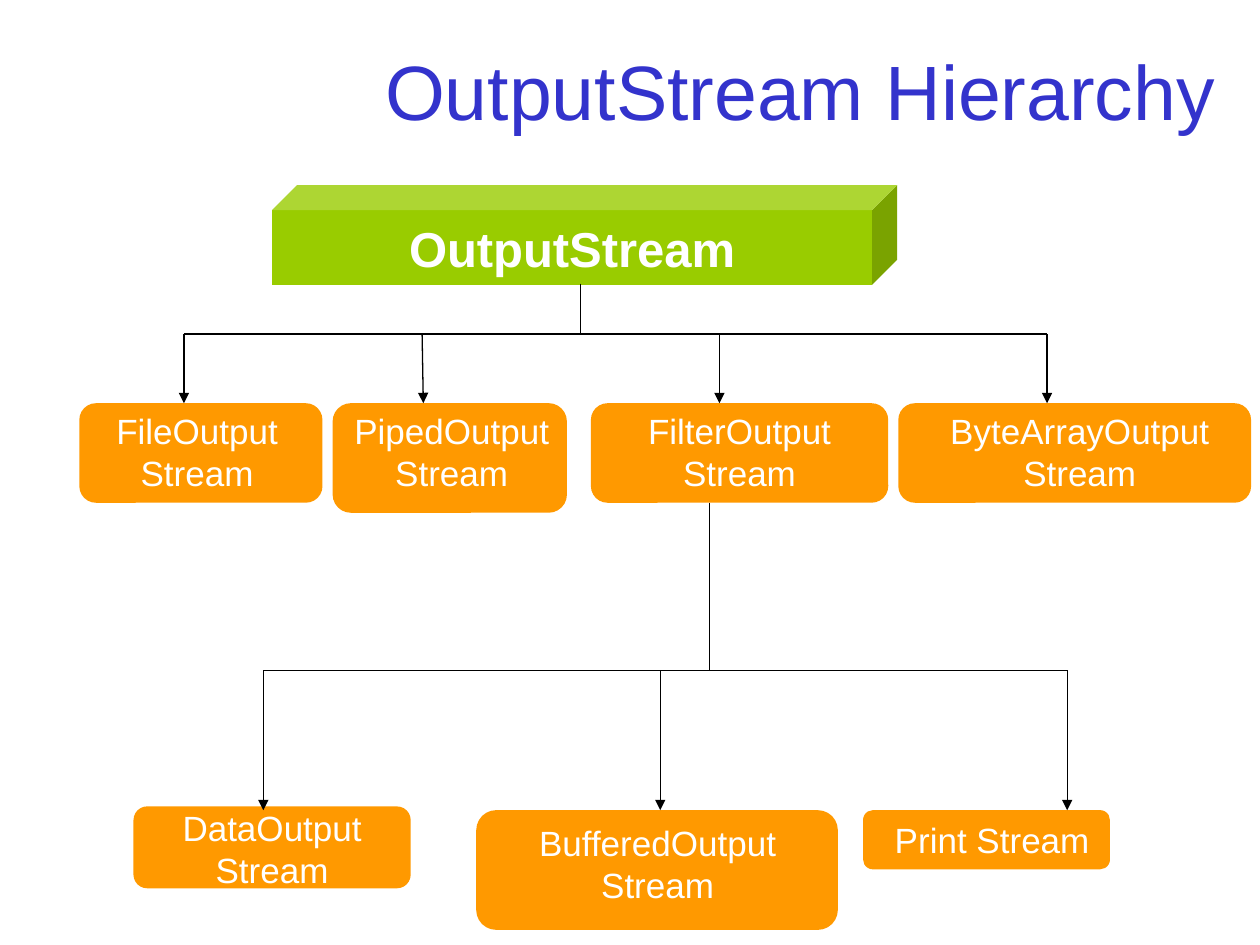
"""Build the OutputStream class hierarchy slide."""
from dataclasses import dataclass

import pptx
import pptx.dml.color
import pptx.enum.shapes
import pptx.enum.text
import pptx.oxml
import pptx.oxml.ns
import pptx.util

Inches = pptx.util.Inches
Kind = pptx.enum.shapes.MSO_SHAPE
Align = pptx.enum.text.PP_ALIGN
Anchor = pptx.enum.text.MSO_ANCHOR
Rect = tuple[float, float, float, float]
Point = tuple[float, float]

COLORS = {
    "title": "3333CC",
    "root": "99CC00",
    "node": "FF9900",
    "text": "FFFFFF",
    "line": "000000",
}


@dataclass
class Node:
    """A stream class: its box and its label."""

    name: str
    box: Rect
    label: Rect


@dataclass
class Branch:
    """A stem from a parent, a bar and arrows down to children."""

    stem: float
    top: float
    bar: float
    end: float
    drops: list[Point]


NODES = [
    Node("FileOutput Stream", (0.63, 3.2, 1.93, 0.79), (0.76, 3.2, 1.61, 0.77)),
    Node("FilterOutput Stream", (4.69, 3.2, 2.36, 0.79), (4.84, 3.2, 2.06, 0.77)),
    Node("PipedOutput Stream", (2.64, 3.2, 1.86, 0.87), (2.64, 3.2, 1.89, 0.77)),
    Node("ByteArrayOutput Stream", (7.13, 3.2, 2.8, 0.79), (7.21, 3.2, 2.72, 0.77)),
    Node("DataOutput Stream", (1.06, 6.4, 2.2, 0.65), (1.14, 6.35, 2.04, 0.77)),
    Node("BufferedOutput Stream", (3.78, 6.43, 2.87, 0.95), (3.94, 6.47, 2.56, 0.77)),
    Node("Print Stream", (6.85, 6.43, 1.96, 0.47), (6.81, 6.45, 2.13, 0.44)),
]

BRANCHES = [
    Branch(4.61, 2.25, 2.65, 3.2,
           [(1.46, 1.46), (3.35, 3.36), (5.71, 5.71), (8.31, 8.31)]),
    Branch(5.63, 3.99, 5.32, 6.43,
           [(2.09, 2.09), (5.24, 5.24), (8.47, 8.47)]),
]


def color(key: str) -> pptx.dml.color.RGBColor:
    """Look up a named colour."""
    return pptx.dml.color.RGBColor.from_string(COLORS[key])


def write(shape, text: str, size: int, key: str = "text",
          align=Align.CENTER, anchor=Anchor.TOP,
          bold: bool = False, wrap: bool = True) -> None:
    """Put one styled run in a shape."""
    frame = shape.text_frame
    frame.word_wrap = wrap
    frame.vertical_anchor = anchor
    para = frame.paragraphs[0]
    para.alignment = align
    run = para.add_run()
    run.text = text
    run.font.name = "Arial"
    run.font.size = pptx.util.Pt(size)
    run.font.bold = bold
    run.font.color.rgb = color(key)


def block(shapes, kind, rect: Rect, key: str, adjust: float):
    """Add a flat filled shape."""
    shape = shapes.add_shape(kind, *map(Inches, rect))
    shape.adjustments[0] = adjust
    shape.shadow.inherit = False
    shape.fill.solid()
    shape.fill.fore_color.rgb = color(key)
    shape.line.fill.background()
    return shape


def draw_node(slide, node: Node) -> None:
    """Group a rounded box with its label."""
    shapes = slide.shapes.add_group_shape().shapes
    block(shapes, Kind.ROUNDED_RECTANGLE, node.box, "node", 0.167)
    label = shapes.add_textbox(*map(Inches, node.label))
    write(label, node.name, 20)
    label.text_frame.auto_size = pptx.enum.text.MSO_AUTO_SIZE.SHAPE_TO_FIT_TEXT


def draw_line(slide, start: Point, end: Point, arrow: bool = False) -> None:
    """Add a thin line, with an arrowhead at its end if asked."""
    line = slide.shapes.add_connector(
        pptx.enum.shapes.MSO_CONNECTOR.STRAIGHT, *map(Inches, start + end))
    line.line.color.rgb = color("line")
    line.line.width = pptx.util.Pt(0.75)
    props = line._element.spPr
    if arrow:
        head = pptx.oxml.parse_xml(
            f'<a:tailEnd {pptx.oxml.ns.nsdecls("a")} type="triangle"/>')
        props.find(pptx.oxml.ns.qn("a:ln")).append(head)
    props.append(pptx.oxml.parse_xml(
        f'<a:effectLst {pptx.oxml.ns.nsdecls("a")}/>'))


def draw_branch(slide, branch: Branch) -> None:
    """Add the stem, the bar and the arrows of a branch."""
    bar = branch.bar
    draw_line(slide, (branch.stem, branch.top), (branch.stem, bar))
    draw_line(slide, (branch.drops[0][0], bar), (branch.drops[-1][0], bar))
    for start, end in branch.drops:
        draw_line(slide, (start, bar), (end, branch.end), arrow=True)


def main() -> None:
    """Build and save the slide."""
    deck = pptx.Presentation()
    deck.slide_width, deck.slide_height = Inches(10), Inches(7.5)
    slide = deck.slides.add_slide(deck.slide_layouts[6])
    title = slide.shapes.add_textbox(*map(Inches, (0.75, 0.28, 9, 0.87)))
    write(title, "OutputStream Hierarchy", 44, "title",
          Align.RIGHT, Anchor.MIDDLE)
    root = block(slide.shapes, Kind.CUBE, (2.16, 1.47, 4.96, 0.79), "root", 0.25)
    write(root, "OutputStream", 28, anchor=Anchor.MIDDLE, bold=True, wrap=False)
    for node in NODES:
        draw_node(slide, node)
    for branch in BRANCHES:
        draw_branch(slide, branch)
    deck.save("out.pptx")


if __name__ == "__main__":
    main()
